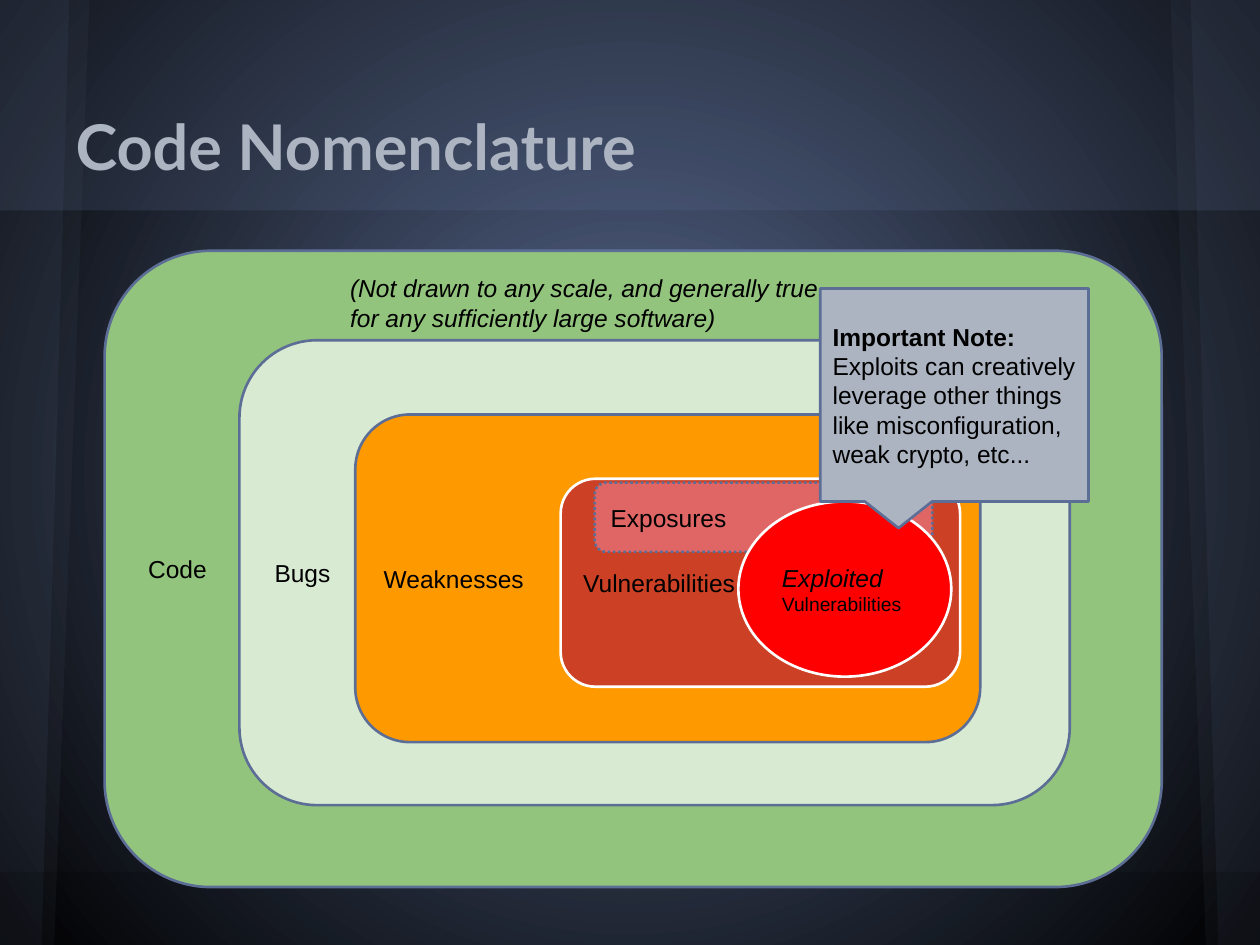
from dataclasses import dataclass

from lxml import etree
from pptx import Presentation
from pptx.dml.color import RGBColor
from pptx.enum.dml import MSO_LINE
from pptx.enum.shapes import MSO_SHAPE
from pptx.enum.text import MSO_ANCHOR, PP_ALIGN
from pptx.oxml.ns import qn
from pptx.util import Inches, Pt

RECTANGLE = MSO_SHAPE.RECTANGLE
ROUNDED = MSO_SHAPE.ROUNDED_RECTANGLE
ELLIPSE = MSO_SHAPE.OVAL
CALLOUT = MSO_SHAPE.RECTANGULAR_CALLOUT
DOTTED = MSO_LINE.ROUND_DOT
MIDDLE, TOP, BOTTOM = MSO_ANCHOR.MIDDLE, MSO_ANCHOR.TOP, MSO_ANCHOR.BOTTOM
LEFT = PP_ALIGN.LEFT

PAGE_WIDTH, PAGE_HEIGHT = 10, 7.5
CORNER = (0.167,)


@dataclass(frozen=True)
class Theme:
    accent: str = "5C6E95"
    panel: str = "5A6378"
    pale: str = "ACB4C2"
    black: str = "000000"
    white: str = "FFFFFF"
    code: str = "93C47D"
    bugs: str = "D9EAD3"
    weaknesses: str = "FF9900"
    vulnerabilities: str = "CC4125"
    exposures: str = "E06666"
    exploited: str = "FF0000"
    title_font: str = "Lato"
    body_font: str = "Arial"
    title_size: float = 36
    body_size: float = 14
    small_size: float = 11
    outline: float = 1.5
    inset: float = 0.1


THEME = Theme()


@dataclass(frozen=True)
class Span:
    text: str
    size: float = THEME.body_size
    bold: bool = False
    italic: bool = False
    break_after: bool = False


@dataclass(frozen=True)
class Region:
    spans: tuple[Span, ...]
    at: tuple[float, float, float, float]
    fill: str
    line: str = THEME.accent
    kind: MSO_SHAPE = ROUNDED
    adjustments: tuple[float, ...] = CORNER
    dotted: bool = False


NESTED_SETS = (
    Region((Span("Code"),), (0.83, 1.99, 8.39, 5.05), THEME.code),
    Region((Span("Bugs"),), (1.9, 2.7, 6.59, 3.69), THEME.bugs),
    Region((Span("Weaknesses"),), (2.82, 3.29, 4.96, 2.6), THEME.weaknesses),
    Region((Span("Vulnerabilities"),), (4.45, 3.8, 3.17, 1.65),
           THEME.vulnerabilities, THEME.white),
)
OVERLAYS = (
    Region((Span("Exposures"),), (4.72, 3.83, 2.68, 0.55), THEME.exposures, dotted=True),
    Region((Span("Exploited ", italic=True), Span("Vulnerabilities", THEME.small_size)),
           (5.86, 3.98, 1.69, 1.39), THEME.exploited, THEME.white, ELLIPSE, ()),
    Region((Span("Important Note:", bold=True, break_after=True),
            Span("Exploits can creatively leverage other things like "
                 "misconfiguration, weak crypto, etc...")),
           (6.51, 2.29, 2.13, 1.69), THEME.pale, kind=CALLOUT,
           adjustments=(-0.208, 0.625)),
)
CAPTION = Span("(Not drawn to any scale, and generally true "
               "for any sufficiently large software)", italic=True)


def rgb(value: str) -> RGBColor:
    return RGBColor.from_string(value)


def style_font(font, name: str, size: float, color: str, bold: bool, italic: bool) -> None:
    font.name, font.size = name, Pt(size)
    font.bold, font.italic = bold, italic
    font.color.rgb = rgb(color)


def set_frame(frame, anchor: MSO_ANCHOR) -> None:
    frame.word_wrap = True
    frame.vertical_anchor = anchor
    frame.margin_left = frame.margin_right = Inches(THEME.inset)
    frame.margin_top = frame.margin_bottom = Inches(THEME.inset)
    frame.paragraphs[0].alignment = LEFT


def write_spans(frame, spans: tuple[Span, ...], anchor: MSO_ANCHOR) -> None:
    set_frame(frame, anchor)
    para = frame.paragraphs[0]
    for span in spans:
        run = para.add_run()
        run.text = span.text
        style_font(run.font, THEME.body_font, span.size, THEME.black,
                   span.bold, span.italic)
        if span.break_after:
            para.add_line_break()


def paint_background(page) -> None:
    """Fill the page with a gradient that spreads from its centre."""
    fill = page.background.fill
    fill.gradient()
    for stop, color in zip(fill.gradient_stops, (THEME.accent, THEME.black)):
        stop.color.rgb = rgb(color)
    gradient = page.element.find(".//" + qn("a:gradFill"))
    gradient.remove(gradient.find(qn("a:lin")))
    circle = etree.SubElement(gradient, qn("a:path"), {"path": "circle"})
    etree.SubElement(circle, qn("a:fillToRect"), dict.fromkeys("ltrb", "50000"))


def tint(shape, color: str, percent: int) -> None:
    """Give a backdrop shape a see-through fill and no outline."""
    shape.shadow.inherit = False
    shape.line.fill.background()
    shape.fill.solid()
    shape.fill.fore_color.rgb = rgb(color)
    solid = shape.element.spPr.find(qn("a:solidFill"))
    etree.SubElement(solid[0], qn("a:alpha"), val=str(percent * 1000))


def add_band(page, top: float, height: float, color: str, percent: int) -> None:
    band = page.shapes.add_shape(RECTANGLE, 0, Inches(top),
                                 Inches(PAGE_WIDTH), Inches(height))
    tint(band, color, percent)


def add_side_panel(page, edge: float, top_x: float, bottom_x: float, color: str) -> None:
    builder = page.shapes.build_freeform(Inches(edge), 0)
    corners = ((top_x, 0), (bottom_x, PAGE_HEIGHT), (edge, PAGE_HEIGHT))
    builder.add_line_segments([(Inches(x), Inches(y)) for x, y in corners], close=True)
    tint(builder.convert_to_shape(), color, 10)


def add_backdrop(page) -> None:
    add_band(page, 0, 1.67, THEME.accent, 20)
    for edge, direction in ((0, 1), (PAGE_WIDTH, -1)):
        for top, bottom, color in ((0.71, 0.43, THEME.panel), (0.55, 0.33, THEME.accent)):
            add_side_panel(page, edge, edge + direction * top,
                           edge + direction * bottom, color)
    add_band(page, 6.92, 0.58, THEME.black, 15)


def place_title(page) -> None:
    title = page.shapes.title
    page.shapes.element.append(title.element)  # in front of the backdrop
    title.left, title.top = Inches(0.5), Inches(0.3)
    title.width, title.height = Inches(9), Inches(1.25)
    title.text_frame.text = "Code Nomenclature"
    set_frame(title.text_frame, BOTTOM)
    style_font(title.text_frame.paragraphs[0].runs[0].font, THEME.title_font,
               THEME.title_size, THEME.pale, True, False)


def add_region(page, region: Region) -> None:
    shape = page.shapes.add_shape(region.kind, *map(Inches, region.at))
    for index, value in enumerate(region.adjustments):
        shape.adjustments[index] = value
    shape.shadow.inherit = False
    shape.fill.solid()
    shape.fill.fore_color.rgb = rgb(region.fill)
    shape.line.color.rgb = rgb(region.line)
    shape.line.width = Pt(THEME.outline)
    if region.dotted:
        shape.line.dash_style = DOTTED
    write_spans(shape.text_frame, region.spans, MIDDLE)


def main() -> None:
    deck = Presentation()
    deck.slide_width, deck.slide_height = Inches(PAGE_WIDTH), Inches(PAGE_HEIGHT)
    page = deck.slides.add_slide(deck.slide_layouts.get_by_name("Title Only"))
    paint_background(page)
    add_backdrop(page)
    place_title(page)
    for region in NESTED_SETS:
        add_region(page, region)
    caption = page.shapes.add_textbox(*map(Inches, (2.68, 2.07, 4.05, 0.55)))
    write_spans(caption.text_frame, (CAPTION,), TOP)
    for region in OVERLAYS:
        add_region(page, region)
    deck.save("out.pptx")


if __name__ == "__main__":
    main()
